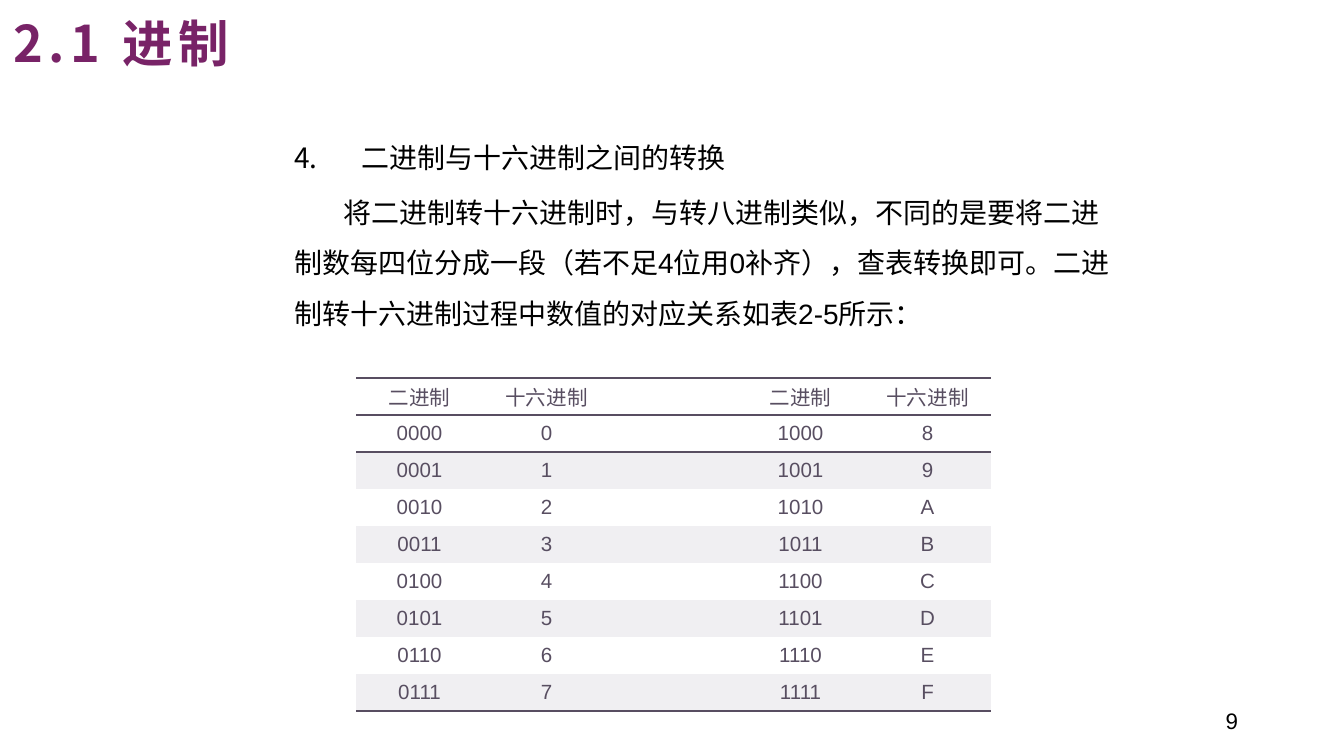
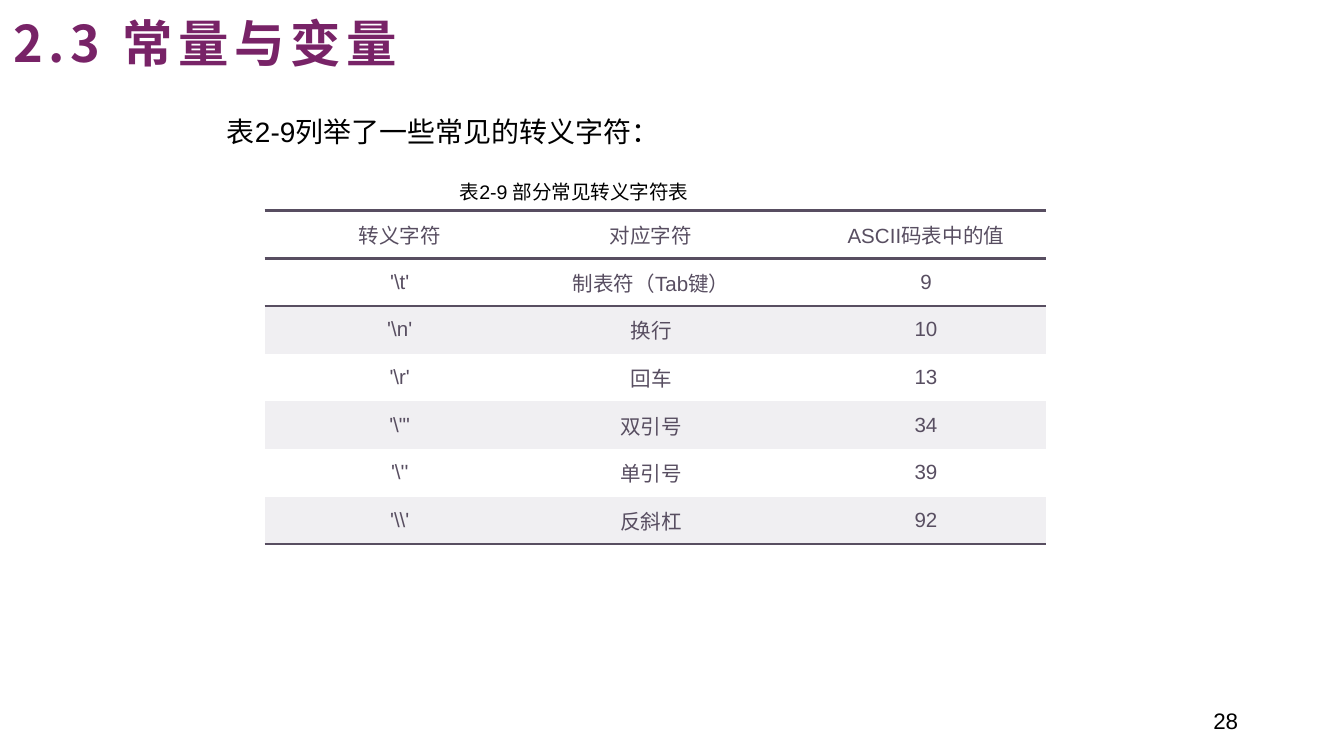
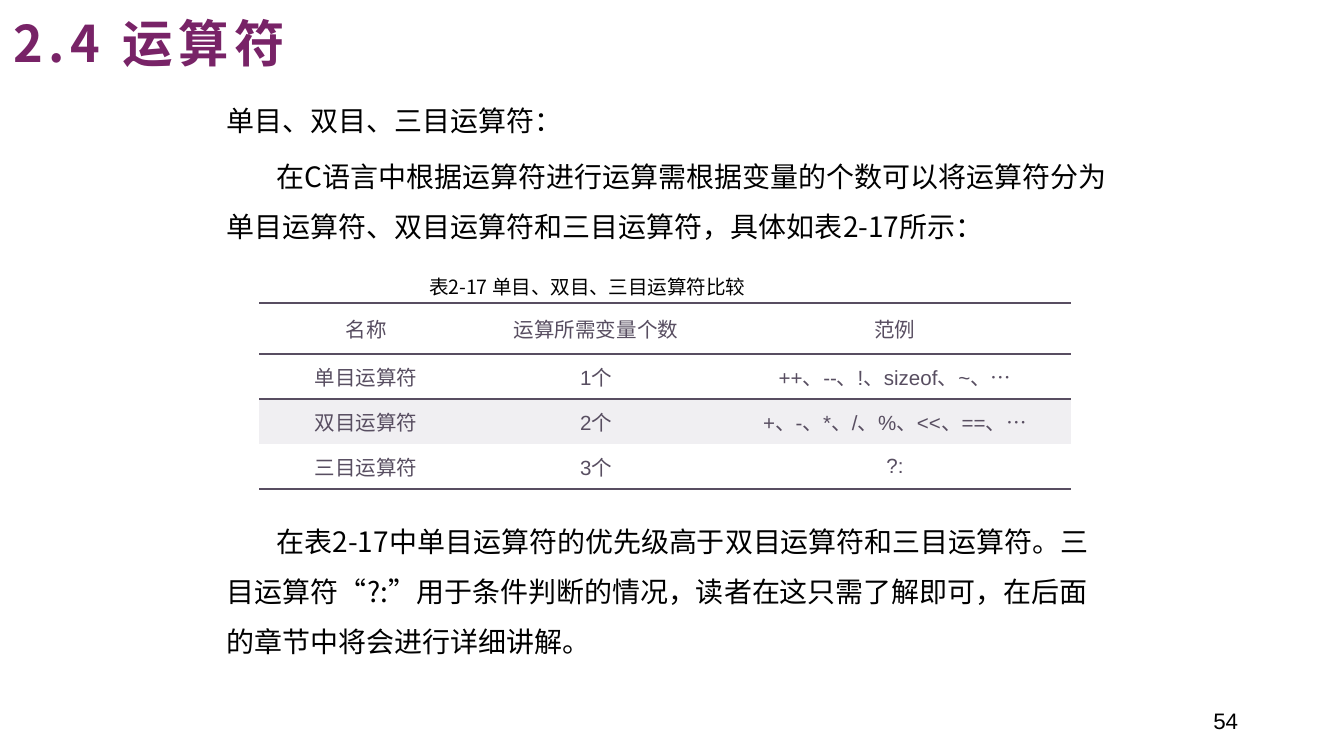
from lxml import etree
from pptx import Presentation
from pptx import util as u
from pptx.dml.color import RGBColor
from pptx.enum import text
from pptx.oxml.ns import qn

# Shared look
HUES = {"title": "782367", "ink": "000000", "grid": "584E61",
        "white": "FFFFFF", "band": "F0EFF2"}
SANS, HAN = "Arial", "Noto Sans CJK SC"
NO_GRID = "{2D5ABB26-0587-4C30-8999-92F81FD0307C}"
HEAD = {"size": u.Pt(27), "name": HAN, "bold": True}
BODY = {"size": u.Pt(15), "name": SANS}
CELL = {"size": u.Pt(11), "name": SANS}
PAGE = {"size": u.Pt(12), "name": SANS}
INSET = {"margin_left": u.Cm(0.18), "margin_right": u.Cm(0.18),
         "margin_top": u.Cm(0.1), "margin_bottom": u.Cm(0.1),
         "word_wrap": True, "auto_size": text.MSO_AUTO_SIZE.NONE,
         "vertical_anchor": text.MSO_ANCHOR.TOP}
PAD = {"margin_left": u.Cm(0.15), "margin_right": u.Cm(0.15),
       "margin_top": 0, "margin_bottom": 0,
       "vertical_anchor": text.MSO_ANCHOR.MIDDLE}
FIRST = 0.94    # first-line indent of running text, cm

# Paragraphs: text, level, left and first indent (cm), space before (pt), extra format
pages = [
    {"title": "2.1 进制", "num": 9, "font": SANS, "box": (2.24, 11.4),
     "paras": [
         ("二进制与十六进制之间的转换", 1, 2.54, -1.27, 0, {}),
         ("将二进制转十六进制时，与转八进制类似，不同的是要将二进制数每四位分成一段"
          "（若不足4位用0补齐），查表转换即可。二进制转十六进制过程中数值的对应关系"
          "如表2-5所示：", 1, 1.27, FIRST, 3, {})],
     "start": 4, "at": (6.73, 7.14), "cols": [2.4] * 5, "rows": [0.7] * 9,
     "shift": 0,
     "cells": [["二进制", "十六进制", "", "二进制", "十六进制"]]
     + [[f"{n:04b}", f"{n:X}", "", f"{n + 8:04b}", f"{n + 8:X}"] for n in range(8)]},
    {"title": "2.3 常量与变量", "num": 28, "font": SANS, "box": (1.75, 12.24),
     "paras": [
         ("表2-9列举了一些常见的转义字符：", 0, 0, 0, 0, {}),
         ("表2-9 部分常见转义字符表", 0, 4.4, 0, 3, {"size": u.Pt(10.5)})],
     "at": (5, 3.98), "cols": [4.37, 5.13, 5.26], "rows": [0.9] * 7,
     "shift": 0.74,
     "cells": [["转义字符", "对应字符", "ASCII码表中的值"],
               ["'\\t'", "制表符（Tab键）", "9"],
               ["'\\n'", "换行", "10"],
               ["'\\r'", "回车", "13"],
               ["'\\\"'", "双引号", "34"],
               ["'\\''", "单引号", "39"],
               ["'\\\\'", "反斜杠", "92"]]},
    {"title": "2.4 运算符", "num": 54, "font": HAN, "box": (1.55, 12.27),
     "paras": [
         ("单目、双目、三目运算符：", 0, 0, 0, 0, {}),
         ("在C语言中根据运算符进行运算需根据变量的个数可以将运算符分为单目运算符、"
          "双目运算符和三目运算符，具体如表2-17所示：", 0, 0, FIRST, 3, {}),
         ("表2-17 单目、双目、三目运算符比较", 0, 3.82, 0, 3, {"size": u.Pt(10.5)}),
         ("在表2-17中单目运算符的优先级高于双目运算符和三目运算符。三目运算符“?:”"
          "用于条件判断的情况，读者在这只需了解即可，在后面的章节中将会进行详细讲解。",
          0, 0, FIRST, 112, {})],
     "at": (4.9, 5.72), "cols": [4.04, 4.65, 6.65], "rows": [0.97, 0.85, 0.85, 0.85],
     "shift": 0,
     "cells": [["名称", "运算所需变量个数", "范例"],
               ["单目运算符", "1个", "++、--、!、sizeof、~、…"],
               ["双目运算符", "2个", "+、-、*、/、%、<<、==、…"],
               ["三目运算符", "3个", "?:"]]},
]


def put(obj, vals):
    for key, val in vals.items():
        setattr(obj, key, val)


def write(para, words, fmt, hue):
    run = para.add_run()
    run.text = words
    put(run.font, fmt)
    run.font.color.rgb = RGBColor.from_string(HUES[hue])
    props = run.font._element
    etree.SubElement(props, qn("a:ea"), typeface=HAN)
    return props


deck = Presentation()
put(deck, {"slide_width": u.Cm(25.4), "slide_height": u.Cm(14.28)})

for page in pages:
    slide = deck.slides.add_slide(deck.slide_layouts[1])

    # Title
    head = slide.shapes.title
    put(head, {"left": 0, "top": u.Cm(0.23), "width": u.Cm(16.18), "height": u.Cm(1.5)})
    put(head.text_frame, {**INSET, "margin_left": u.Cm(0.25), "margin_top": 0})
    para = head.text_frame.paragraphs[0]
    para.alignment = text.PP_ALIGN.LEFT
    write(para, page["title"], HEAD, "title").set("spc", "300")

    # Body text
    body = slide.placeholders[1]
    top, high = page["box"]
    put(body, {"left": u.Cm(4.11), "top": u.Cm(top),
               "width": u.Cm(17.15), "height": u.Cm(high)})
    frame = body.text_frame
    put(frame, INSET)
    for i, (words, level, left, first, gap, extra) in enumerate(page["paras"]):
        para = frame.add_paragraph() if i else frame.paragraphs[0]
        props = para._p.get_or_add_pPr()
        props.set("marL", str(u.Cm(left)))
        props.set("indent", str(u.Cm(first)))
        if first < 0:
            etree.SubElement(props, qn("a:buFont"), typeface=HAN)
            etree.SubElement(props, qn("a:buAutoNum"), type="arabicPeriod",
                             startAt=str(page["start"]))
        else:
            etree.SubElement(props, qn("a:buNone"))
        put(para, {"level": level, "line_spacing": u.Pt(26.8),
                   "space_before": u.Pt(gap), "alignment": text.PP_ALIGN.LEFT})
        write(para, words, {**BODY, "name": page["font"], **extra}, "ink")

    # Table
    rows, cols = page["rows"], page["cols"]
    x, y = page["at"]
    grid = slide.shapes.add_table(len(rows), len(cols), u.Cm(x), u.Cm(y),
                                  u.Cm(sum(cols)), u.Cm(sum(rows))).table
    put(grid, {"first_row": False, "horz_banding": False})
    grid._tbl.tblPr.find(qn("a:tableStyleId")).text = NO_GRID
    for col, wide in zip(grid.columns, cols):
        col.width = u.Cm(wide)
    for r, (row, tall) in enumerate(zip(grid.rows, rows)):
        row.height = u.Cm(tall)
        edges = {0: ["a:lnT", "a:lnB"], 1: ["a:lnT"], len(rows) - 1: ["a:lnB"]}.get(r, [])
        for cell, words in zip(row.cells, page["cells"][r]):
            put(cell, PAD)
            para = cell.text_frame.paragraphs[0]
            para.alignment = text.PP_ALIGN.CENTER
            if page["shift"]:
                para._p.get_or_add_pPr().set("indent", str(u.Cm(page["shift"])))
            if words:
                write(para, words, CELL, "grid")
            else:
                etree.SubElement(para._p, qn("a:endParaRPr"), sz="1100")
            cell.fill.solid()
            shade = "band" if r and r % 2 == 0 else "white"
            cell.fill.fore_color.rgb = RGBColor.from_string(HUES[shade])
            for n, edge in enumerate(edges):
                line = etree.Element(qn(edge), w=str(u.Pt(1.5)))
                fill = etree.SubElement(line, qn("a:solidFill"))
                etree.SubElement(fill, qn("a:srgbClr"), val=HUES["grid"])
                cell._tc.tcPr.insert(n, line)

    # Page number
    foot = slide.shapes.add_textbox(u.Cm(17.93), u.Cm(13.23), u.Cm(5.72), u.Cm(0.76))
    foot.text_frame.word_wrap = True
    para = foot.text_frame.paragraphs[0]
    para.alignment = text.PP_ALIGN.RIGHT
    write(para, str(page["num"]), PAGE, "ink")

deck.save("out.pptx")
